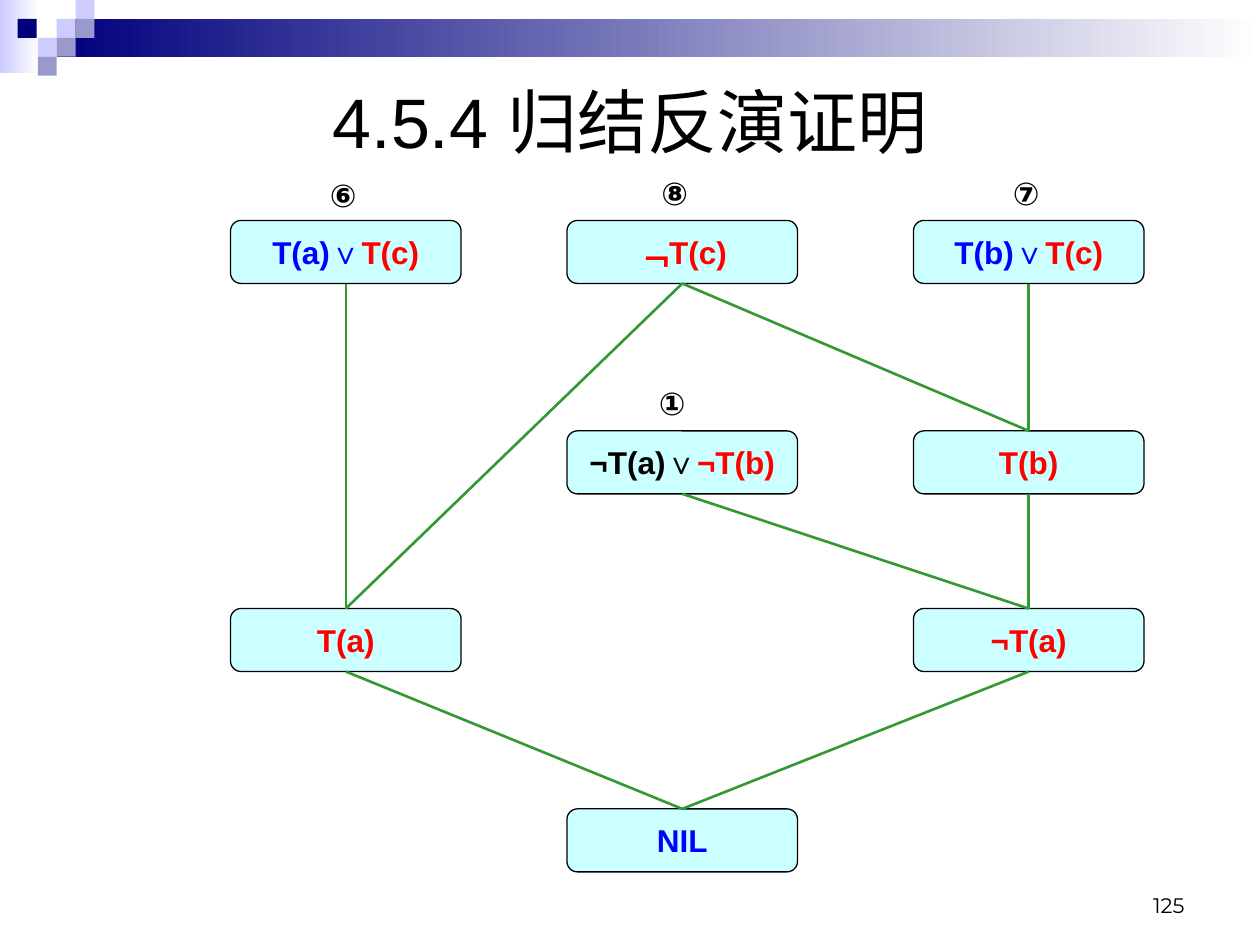
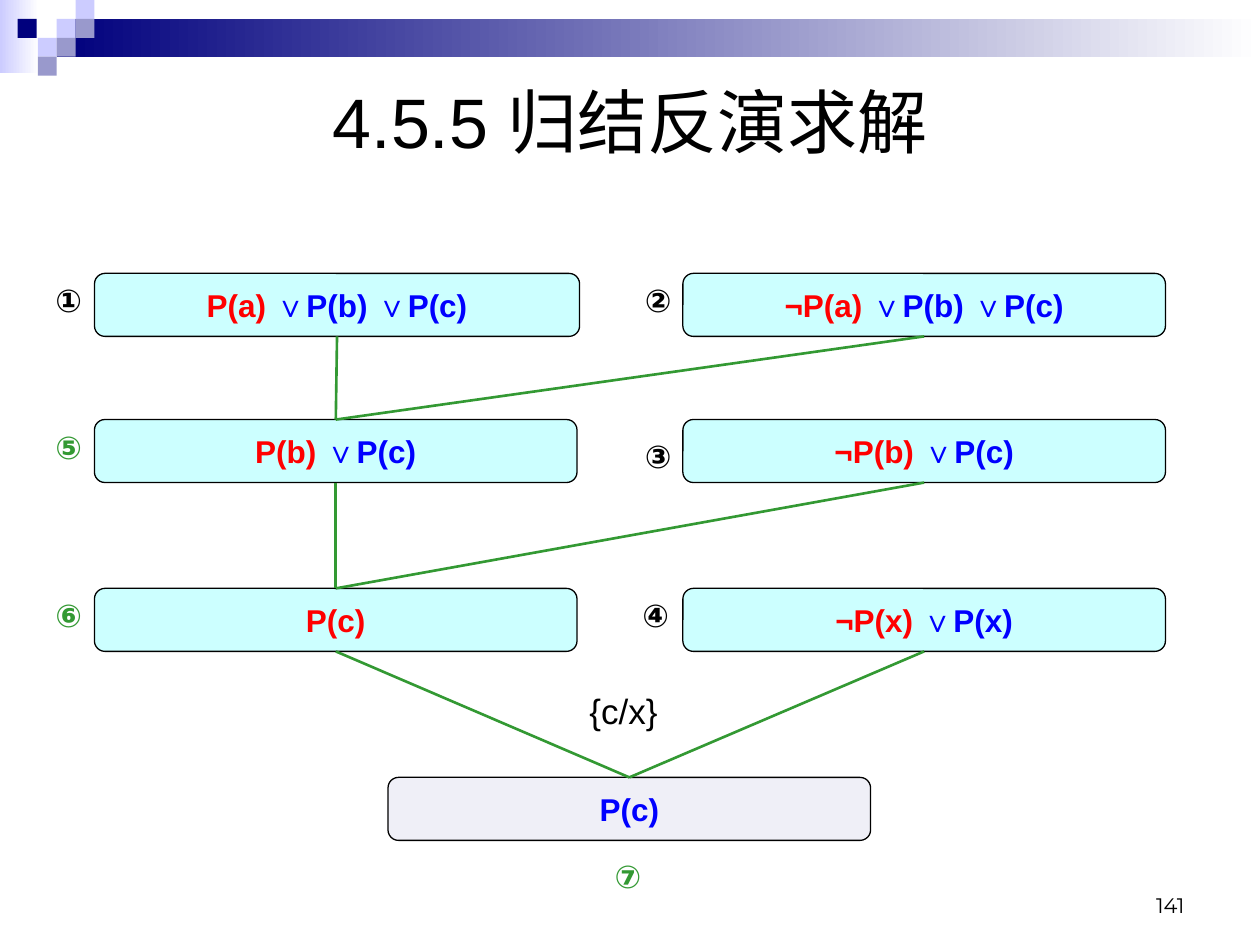
from dataclasses import dataclass
from lxml.etree import SubElement
from pptx import Presentation
from pptx.dml.color import RGBColor
from pptx.enum.shapes import MSO_CONNECTOR as CONNECTOR, MSO_SHAPE as SHAPE
from pptx.enum.text import MSO_ANCHOR as ANCHOR, MSO_AUTO_SIZE as AUTO_SIZE, PP_ALIGN as ALIGN
from pptx.oxml.ns import qn
from pptx.util import Inches, Pt


@dataclass(frozen=True)
class Theme:
    black: str = "000000"
    blue: str = "0000FF"
    red: str = "FF0000"
    green: str = "339933"
    clause: str = "CCFFFF"
    answer: str = "EFEFF7"
    navy: str = "00007D"
    lavender: str = "CCCCFF"
    violet: str = "9999CC"
    white: str = "FFFFFF"
    font: str = "Arial"
    number_font: str = "Montserrat"
    title_size: int = 40
    note_size: int = 20
    clause_size: int = 18
    number_size: int = 12
    outline: float = 0.75
    link: float = 1.5


theme = Theme()
BLACK, BLUE, RED, GREEN = theme.black, theme.blue, theme.red, theme.green


def write_text(shape, runs, size=theme.clause_size, font=theme.font, bold=True,
               align=ALIGN.LEFT, anchor=ANCHOR.TOP, wrap=False, grow=False):
    """Fill a shape with one paragraph of (text, colour) runs."""
    frame = shape.text_frame
    frame.word_wrap = wrap
    frame.auto_size = AUTO_SIZE.SHAPE_TO_FIT_TEXT if grow else AUTO_SIZE.NONE
    frame.vertical_anchor = anchor
    paragraph = frame.paragraphs[0]
    paragraph.alignment = align
    for text, color in runs:
        run = paragraph.add_run()
        run.text = text
        run.font.name, run.font.size, run.font.bold = font, Pt(size), bold
        run.font.color.rgb = RGBColor.from_string(color)


def add_panel(slide, kind, bounds, *colors, outline=None):
    """Draw a preset shape; two colours make a left-to-right gradient."""
    shape = slide.shapes.add_shape(kind, *map(Inches, bounds))
    shape.shadow.inherit = False
    if len(colors) == 1:
        shape.fill.solid()
        shape.fill.fore_color.rgb = RGBColor.from_string(colors[0])
    else:
        shape.fill.gradient()
        shape.fill.gradient_angle = 0
        for position, (stop, color) in enumerate(zip(shape.fill.gradient_stops, colors)):
            stop.position = position
            stop.color.rgb = RGBColor.from_string(color)
    if outline:
        shape.line.color.rgb = RGBColor.from_string(outline)
        shape.line.width = Pt(theme.outline)
    else:
        shape.line.fill.background()
    return shape


# Shared corner mosaic: left, top, colour of each tile
TILE = 0.15
TILES = [
    (0.45, 0.15, theme.lavender), (0.6, 0, theme.lavender), (0.6, 0.15, theme.violet),
    (0.3, 0.3, theme.lavender), (0.14, 0.15, theme.navy),
    (0.45, 0.3, theme.violet), (0.3, 0.45, theme.violet),
]
CLAUSE_HEIGHT = 0.5

# Columns and rows of the two resolution trees
LEFT, MIDDLE, RIGHT = 1.83, 4.5, 7.25
FIRST, SECOND, THIRD, LAST = 1.75, 3.42, 4.83, 6.42
DERIVED, GIVEN = 0.75, 5.42
TOP, CENTRE, LOW, BOTTOM = 2.17, 3.33, 4.67, 6.17

# Clauses: name -> (left, top, width, fill, runs); links run from parent to resolvent
trees = [
    {
        "title": "4.5.4 归结反演证明",
        "number": "125",
        "clauses": {
            "a or c": (LEFT, FIRST, 1.83, theme.clause, [("T(a)∨", BLUE), ("T(c)", RED)]),
            "not c": (MIDDLE, FIRST, 1.83, theme.clause, [("﹁T(c)", RED)]),
            "b or c": (RIGHT, FIRST, 1.83, theme.clause, [("T(b)∨", BLUE), ("T(c)", RED)]),
            "not a or not b": (MIDDLE, SECOND, 1.83, theme.clause,
                               [("¬T(a)∨", BLACK), ("¬T(b)", RED)]),
            "b": (RIGHT, SECOND, 1.83, theme.clause, [("T(b)", RED)]),
            "a": (LEFT, THIRD, 1.83, theme.clause, [("T(a)", RED)]),
            "not a": (RIGHT, THIRD, 1.83, theme.clause, [("¬T(a)", RED)]),
            "nil": (MIDDLE, LAST, 1.83, theme.clause, [("NIL", BLUE)]),
        },
        "links": [
            ("a or c", "a"), ("not c", "a"), ("not c", "b"), ("b or c", "b"),
            ("not a or not b", "not a"), ("b", "not a"), ("a", "nil"), ("not a", "nil"),
        ],
        "labels": [
            ("①", 5.13, 3, BLACK), ("⑥", 2.52, 1.35, BLACK),
            ("⑧", 5.15, 1.33, BLACK), ("⑦", 7.94, 1.33, BLACK),
        ],
        "notes": [],
    },
    {
        "title": "4.5.5 归结反演求解",
        "number": "141",
        "clauses": {
            "a or b or c": (DERIVED, TOP, 3.85, theme.clause,
                            [("P(a) ", RED), ("∨P(b) ∨P(c)", BLUE)]),
            "not a or b or c": (GIVEN, TOP, 3.83, theme.clause,
                                [("¬P(a) ", RED), ("∨P(b) ∨P(c)", BLUE)]),
            "b or c": (DERIVED, CENTRE, 3.83, theme.clause, [("P(b) ", RED), ("∨P(c)", BLUE)]),
            "not b or c": (GIVEN, CENTRE, 3.83, theme.clause,
                           [("¬P(b) ", RED), ("∨P(c)", BLUE)]),
            "c": (DERIVED, LOW, 3.83, theme.clause, [("P(c)", RED)]),
            "not x or x": (GIVEN, LOW, 3.83, theme.clause, [("¬P(x) ", RED), ("∨P(x)", BLUE)]),
            "answer": (3.08, BOTTOM, 3.83, theme.answer, [("P(c)", BLUE)]),
        },
        "links": [
            ("a or b or c", "b or c"), ("not a or b or c", "b or c"), ("b or c", "c"),
            ("not b or c", "c"), ("c", "answer"), ("not x or x", "answer"),
        ],
        "labels": [
            ("①", 0.34, 2.18, BLACK), ("②", 5.02, 2.18, BLACK), ("③", 5.02, 3.42, BLACK),
            ("④", 5, 4.68, BLACK), ("⑤", 0.34, 3.35, GREEN), ("⑥", 0.34, 4.68, GREEN),
            ("⑦", 4.78, 6.75, GREEN),
        ],
        "notes": [("{c/x}", 4.58, 5.42)],
    },
]

presentation = Presentation()
presentation.slide_width, presentation.slide_height = Inches(10), Inches(7.5)

for tree in trees:
    slide = presentation.slides.add_slide(presentation.slide_layouts[6])

    # Header band and mosaic
    add_panel(slide, SHAPE.RECTANGLE, (0, 0, 0.31, 0.58), theme.lavender, theme.white)
    add_panel(slide, SHAPE.RECTANGLE, (0.45, 0.15, 9.55, 0.3), theme.navy, theme.white)
    for left, top, color in TILES:
        add_panel(slide, SHAPE.RECTANGLE, (left, top, TILE, TILE), color)

    # Title
    title = slide.shapes.add_textbox(Inches(0.5), Inches(0.5), Inches(9), Inches(0.92))
    write_text(title, [(tree["title"], BLACK)], size=theme.title_size, bold=False,
               align=ALIGN.CENTER, anchor=ANCHOR.MIDDLE, wrap=True)

    # Clauses
    boxes = {}
    for name, (left, top, width, fill, runs) in tree["clauses"].items():
        box = add_panel(slide, SHAPE.ROUNDED_RECTANGLE, (left, top, width, CLAUSE_HEIGHT),
                        fill, outline=BLACK)
        write_text(box, runs, align=ALIGN.CENTER, anchor=ANCHOR.MIDDLE)
        boxes[name] = box

    # Resolution links, bottom of parent to top of resolvent
    for parent, resolvent in tree["links"]:
        link = slide.shapes.add_connector(CONNECTOR.STRAIGHT, 0, 0, 0, 0)
        link.begin_connect(boxes[parent], 2)
        link.end_connect(boxes[resolvent], 0)
        link.line.color.rgb = RGBColor.from_string(GREEN)
        link.line.width = Pt(theme.link)
        SubElement(link.element.spPr, qn("a:effectLst"))

    # Clause numbers and substitutions
    for text, left, top, color in tree["labels"]:
        label = slide.shapes.add_textbox(Inches(left), Inches(top), Inches(0.45), Inches(0.4))
        write_text(label, [(text, color)], grow=True)
    for text, left, top in tree["notes"]:
        note = slide.shapes.add_textbox(Inches(left), Inches(top), Inches(1.5), Inches(0.44))
        write_text(note, [(text, BLACK)], size=theme.note_size, bold=False, wrap=True, grow=True)

    # Slide number
    number = slide.shapes.add_textbox(Inches(7.17), Inches(6.83), Inches(2.33), Inches(0.5))
    write_text(number, [(tree["number"], BLACK)], size=theme.number_size, bold=False,
               font=theme.number_font, align=ALIGN.RIGHT, anchor=ANCHOR.BOTTOM, wrap=True)

presentation.save("out.pptx")
